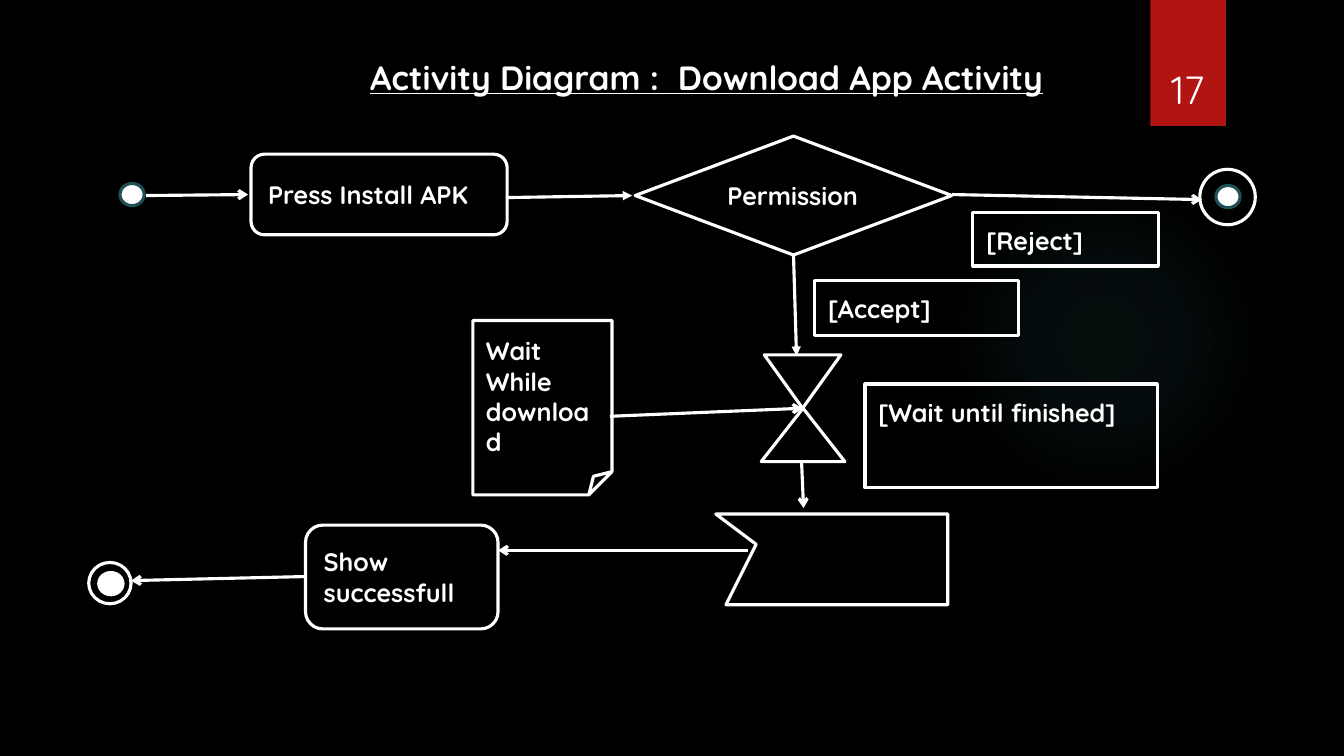
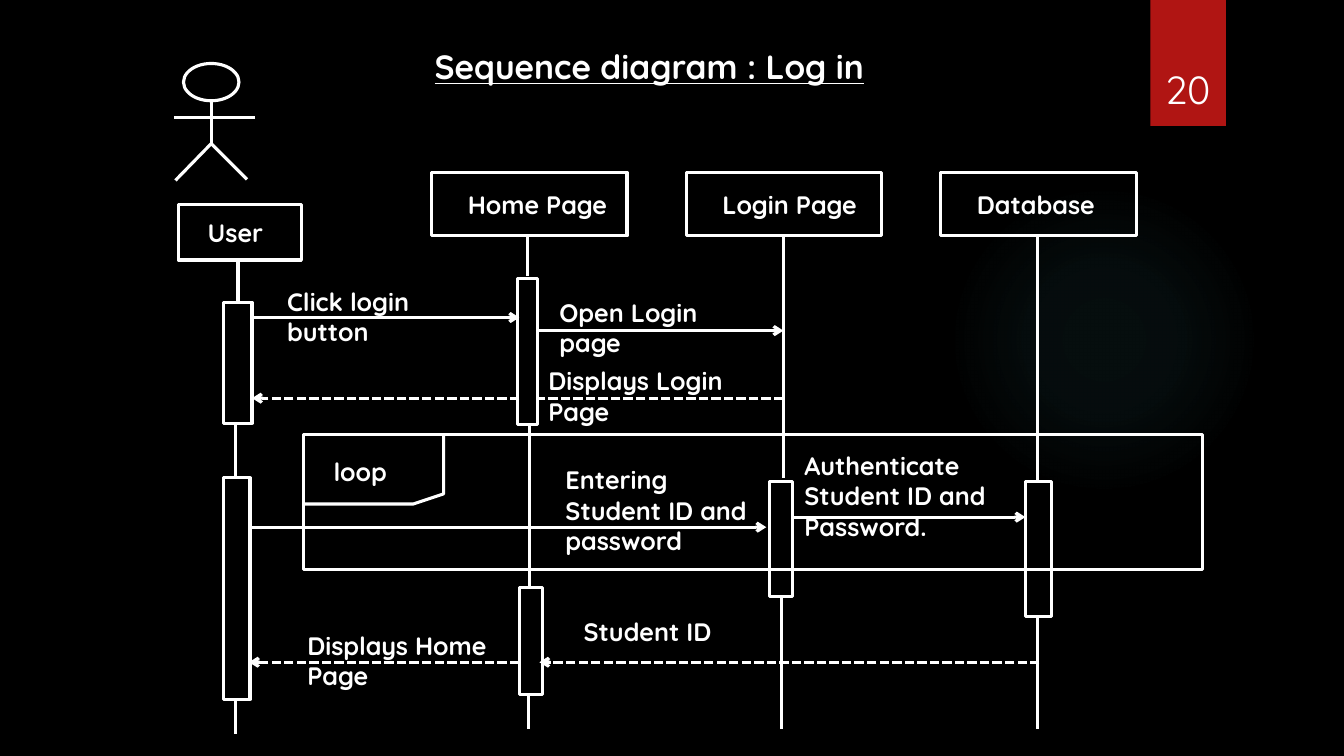
import dataclasses
import typing

import lxml.etree
import pptx
import pptx.dml.color
import pptx.enum.dml
import pptx.enum.shapes
import pptx.enum.text
import pptx.oxml
import pptx.oxml.ns
import pptx.presentation
import pptx.slide
import pptx.util

SHAPE = pptx.enum.shapes.MSO_SHAPE
ANCHOR = pptx.enum.text.MSO_ANCHOR
ALIGN = pptx.enum.text.PP_ALIGN
SLIDE_W = pptx.util.Inches(13.33)
SLIDE_H = pptx.util.Inches(7.5)
ROWS = 75
CELL = SLIDE_H / ROWS
FONT = "Quicksand"
COLORS = {
    "back": "000000",
    "ink": "FFFFFF",
    "badge": "B01513",
    "dot_edge": "1E5155",
    "glow": "50B9C1",
}
TITLE_ONLY = 5


@dataclasses.dataclass(frozen=True)
class Node:
    kind: SHAPE
    x: float
    y: float
    w: float
    h: float
    text: str = ""
    anchor: ANCHOR = ANCHOR.MIDDLE
    inset: float = 1.3
    fill: typing.Optional[str] = None
    edge: str = "ink"
    turn: float = 0


@dataclasses.dataclass(frozen=True)
class Link:
    x1: float
    y1: float
    x2: float
    y2: float
    head: str = ""
    dashed: bool = False


@dataclasses.dataclass(frozen=True)
class Label:
    text: str
    x: float
    y: float
    w: float
    h: float = 4


@dataclasses.dataclass(frozen=True)
class Outline:
    points: tuple[tuple[float, float], ...]
    closed: bool


@dataclasses.dataclass(frozen=True)
class Page:
    title: Label
    number: str
    nodes: list[Node]
    links: list[Link]
    labels: list[Label]
    outline: Outline


def cells(*values: float) -> list[int]:
    return [round(v * CELL) for v in values]


def rgb(name: str) -> pptx.dml.color.RGBColor:
    return pptx.dml.color.RGBColor.from_string(COLORS[name])


def style_line(line: typing.Any, color: str = "ink") -> None:
    line.color.rgb = rgb(color)
    line.width = pptx.util.Pt(2.25)


def write(tf: typing.Any, text: str, size: float = 18, bold: bool = True,
          underline: bool = False, align: ALIGN = ALIGN.LEFT,
          anchor: ANCHOR = ANCHOR.TOP) -> None:
    tf.text = text
    tf.word_wrap = True
    tf.vertical_anchor = anchor
    for p in tf.paragraphs:
        p.alignment = align
        p.font.name = FONT
        p.font.size = pptx.util.Pt(size)
        p.font.bold = bold
        p.font.underline = underline
        p.font.color.rgb = rgb("ink")


def draw_node(s: pptx.slide.Slide, node: Node) -> None:
    sp = s.shapes.add_shape(node.kind, *cells(node.x, node.y, node.w, node.h))
    sp.shadow.inherit = False
    sp.rotation = node.turn
    if node.fill:
        sp.fill.solid()
        sp.fill.fore_color.rgb = rgb(node.fill)
    else:
        sp.fill.background()
    style_line(sp.line, node.edge)
    if node.text:
        tf = sp.text_frame
        tf.margin_left, tf.margin_right = cells(node.inset, 1.3 if node.inset == 1.3 else 0)
        tf.margin_top, tf.margin_bottom = cells(1.3, 1.3)
        write(tf, node.text, anchor=node.anchor)


def draw_link(s: pptx.slide.Slide, link: Link) -> None:
    line = s.shapes.add_connector(pptx.enum.shapes.MSO_CONNECTOR.STRAIGHT,
                                  *cells(link.x1, link.y1, link.x2, link.y2))
    style_line(line.line)
    if link.dashed:
        line.line.dash_style = pptx.enum.dml.MSO_LINE.SQUARE_DOT
    qn = pptx.oxml.ns.qn
    props = line.element.spPr
    if link.head:
        lxml.etree.SubElement(props.find(qn("a:ln")), qn("a:tailEnd"), type=link.head)
    lxml.etree.SubElement(props, qn("a:effectLst"))


def draw_label(s: pptx.slide.Slide, label: Label) -> None:
    sp = s.shapes.add_textbox(*cells(label.x, label.y, label.w, label.h))
    write(sp.text_frame, label.text)


def draw_outline(s: pptx.slide.Slide, outline: Outline) -> None:
    start, *rest = outline.points
    builder = s.shapes.build_freeform(*start, scale=CELL)
    builder.add_line_segments(rest, close=outline.closed)
    sp = builder.convert_to_shape()
    sp.shadow.inherit = False
    sp.fill.background()
    style_line(sp.line)


def glow_fill() -> typing.Any:
    stops = "".join(
        f'<a:gs pos="{pos}000"><a:srgbClr val="{COLORS["glow"]}">'
        f'<a:alpha val="{alpha}000"/></a:srgbClr></a:gs>'
        for pos, alpha in ((0, 7), (36, 6), (69, 0), (100, 0)))
    return pptx.oxml.parse_xml(
        f'<a:gradFill {pptx.oxml.ns.nsdecls("a")}><a:gsLst>{stops}</a:gsLst>'
        '<a:path path="circle"><a:fillToRect l="50000" t="50000" r="50000" b="50000"/>'
        '</a:path></a:gradFill>')


def decorate_layout(prs: pptx.presentation.Presentation, s: pptx.slide.Slide) -> None:
    back = prs.slide_master.background.fill
    back.solid()
    back.fore_color.rgb = rgb("back")
    glow = s.shapes.add_shape(SHAPE.OVAL, *cells(94.1, 18.3, 30.8, 30.8))
    badge = s.shapes.add_shape(SHAPE.RECTANGLE, *cells(114.1, 0, 7.5, 12.5))
    badge.fill.solid()
    badge.fill.fore_color.rgb = rgb("badge")
    glow.element.spPr.find(pptx.oxml.ns.qn("a:prstGeom")).addnext(glow_fill())
    for i, sp in enumerate((glow, badge)):
        sp.shadow.inherit = False
        sp.line.fill.background()
        s.slide_layout.shapes.element.insert(2 + i, sp.element)


def draw_page(s: pptx.slide.Slide, page: Page) -> None:
    for node in page.nodes:
        draw_node(s, node)
    for link in page.links:
        draw_link(s, link)
    for label in page.labels:
        draw_label(s, label)
    draw_outline(s, page.outline)
    title = s.shapes.title
    box = page.title
    title.left, title.top, title.width, title.height = cells(box.x, box.y, box.w, box.h)
    write(title.text_frame, box.text, size=24, underline=True)
    title.text_frame.auto_size = pptx.enum.text.MSO_AUTO_SIZE.NONE
    number = s.shapes.add_textbox(*cells(113.2, 3.2, 9.2, 8.4))
    write(number.text_frame, page.number, size=28, bold=False,
          align=ALIGN.CENTER, anchor=ANCHOR.BOTTOM)


def activity_page() -> Page:
    nodes = [
        Node(SHAPE.OVAL, 11.9, 18.2, 2.4, 2.2, fill="ink", edge="dot_edge"),
        Node(SHAPE.ROUNDED_RECTANGLE, 24.9, 15.3, 25.4, 8, "Press Install APK"),
        Node(SHAPE.FLOWCHART_DECISION, 63, 13.5, 31.4, 11.8, "Permission"),
        Node(SHAPE.OVAL, 119, 16.8, 5.5, 5.5),
        Node(SHAPE.OVAL, 120.6, 18.4, 2.4, 2.2, fill="ink", edge="dot_edge"),
        Node(SHAPE.ISOSCELES_TRIANGLE, 75.5, 40.5, 8.3, 5.3),
        Node(SHAPE.ISOSCELES_TRIANGLE, 75.8, 35.2, 7.6, 5.3, turn=180),
        Node(SHAPE.ROUNDED_RECTANGLE, 30.3, 52.1, 19.1, 10.3, "Show successfull"),
        Node(SHAPE.OVAL, 8.8, 55.8, 4.2, 4.1),
        Node(SHAPE.OVAL, 9.8, 56.8, 2.4, 2.2, fill="ink"),
        Node(SHAPE.RECTANGLE, 96.5, 21.1, 18.4, 5.3, "[Reject]", ANCHOR.TOP),
        Node(SHAPE.RECTANGLE, 80.8, 27.8, 20.2, 5.5, "[Accept]", ANCHOR.TOP),
        Node(SHAPE.RECTANGLE, 85.8, 38.1, 29, 10.3, "[Wait until finished]", ANCHOR.TOP),
        Node(SHAPE.FOLDED_CORNER, 46.9, 31.8, 13.8, 17.3, "Wait\nWhile download"),
    ]
    links = [
        Link(14.5, 19.4, 24.6, 19.3, "arrow"),
        Link(50.3, 19.6, 62.7, 19.4, "triangle"),
        Link(94.4, 19.3, 119.2, 19.8, "arrow"),
        Link(78.7, 25.2, 79, 35.3, "triangle"),
        Link(79.5, 45.8, 79.7, 50.4, "arrow"),
        Link(74.2, 54.6, 49.4, 54.6, "arrow"),
        Link(60.5, 41.3, 79.6, 40.5, "arrow"),
        Link(30.3, 57.2, 13, 57.6, "arrow"),
    ]
    signal = Outline(((71, 50.9), (93.6, 50.7), (93.6, 59.9), (72, 60.1), (75.3, 53.6)), True)
    title = Label("Activity Diagram :  Download App Activity", 35.7, 5.1, 72.5, 5)
    return Page(title, "17", nodes, links, [], signal)


def sequence_page() -> Page:
    nodes = [Node(SHAPE.RECTANGLE, 42.8 + 25.25 * i, 17.1, 19.4, 6.3, text, inset=3.6)
             for i, text in enumerate(("Home Page", "Login Page", "Database"))]
    nodes += [
        Node(SHAPE.RECTANGLE, 17.7, 20.3, 12.2, 5.5, "User", inset=2.9),
        Node(SHAPE.OVAL, 18.2, 6.3, 5.5, 3.7),
    ]
    bars = [
        (22.2, 30, 2.8, 12), (22.2, 47.4, 2.6, 22), (51.3, 27.6, 2, 14.5),
        (51.5, 58.3, 2.3, 10.6), (76.3, 47.8, 2.3, 11.4), (101.7, 47.8, 2.6, 13.4),
        (30.1, 43.1, 89.2, 13.4),
    ]
    nodes += [Node(SHAPE.RECTANGLE, *bar) for bar in bars]
    lifelines = [
        (23.6, 25.8, 30), (23.4, 42.1, 47.4), (23.4, 69.4, 72.8),
        (52.3, 23.5, 27.4), (52.5, 42.3, 58.3), (52.4, 68.9, 72.3),
        (77.7, 23.5, 47.4), (77.5, 59.1, 72.3), (102.9, 23.5, 47.8), (102.9, 61.1, 72.3),
    ]
    calls = [(25, 51.5, 31.5), (53.5, 77.7, 32.8), (24.7, 76, 52.3), (78.6, 101.7, 51.3)]
    replies = [(51.5, 25, 39.5), (103.1, 53.5, 65.7), (51.5, 24.7, 65.7)]
    links = [Link(x, top, x, bottom) for x, top, bottom in lifelines]
    links += [Link(x1, y, x2, y, "arrow") for x1, x2, y in calls]
    links += [Link(x1, y, x2, y, "arrow", True) for x1, x2, y in replies]
    links += [
        Link(77.7, 39.5, 53.5, 39.5, dashed=True),
        Link(21, 10, 21, 14.3),
        Link(25.3, 11.7, 17.3, 11.7),
        Link(21, 14.2, 17.4, 17.9),
        Link(24.5, 17.8, 20.9, 14.2),
    ]
    labels = [
        Label("Click login button", 27.5, 27.9, 20.9),
        Label("Open Login page", 54.5, 29, 19.4),
        Label("Displays Login Page", 53.4, 35.8, 24.2),
        Label("loop", 32.1, 44.8, 20.9),
        Label("Entering Student ID and password", 55.1, 45.6, 20.9, 7.1),
        Label("Authenticate Student ID and Password.", 78.8, 44.2, 24.2, 7.1),
        Label("Student ID", 56.9, 60.7, 20.9),
        Label("Displays Home Page", 29.5, 62, 24.9),
    ]
    loop_tab = Outline(((30.1, 50.3), (41.1, 50.3), (44, 48.6), (44, 43.2)), False)
    title = Label("Sequence diagram : Log in", 42.1, 4.1, 70.2, 5)
    return Page(title, "20", nodes, links, labels, loop_tab)


def main() -> None:
    prs = pptx.Presentation()
    prs.slide_width, prs.slide_height = SLIDE_W, SLIDE_H
    for i, page in enumerate((activity_page(), sequence_page())):
        s = prs.slides.add_slide(prs.slide_layouts[TITLE_ONLY])
        if i == 0:
            decorate_layout(prs, s)
        draw_page(s, page)
    prs.save("out.pptx")


if __name__ == "__main__":
    main()
